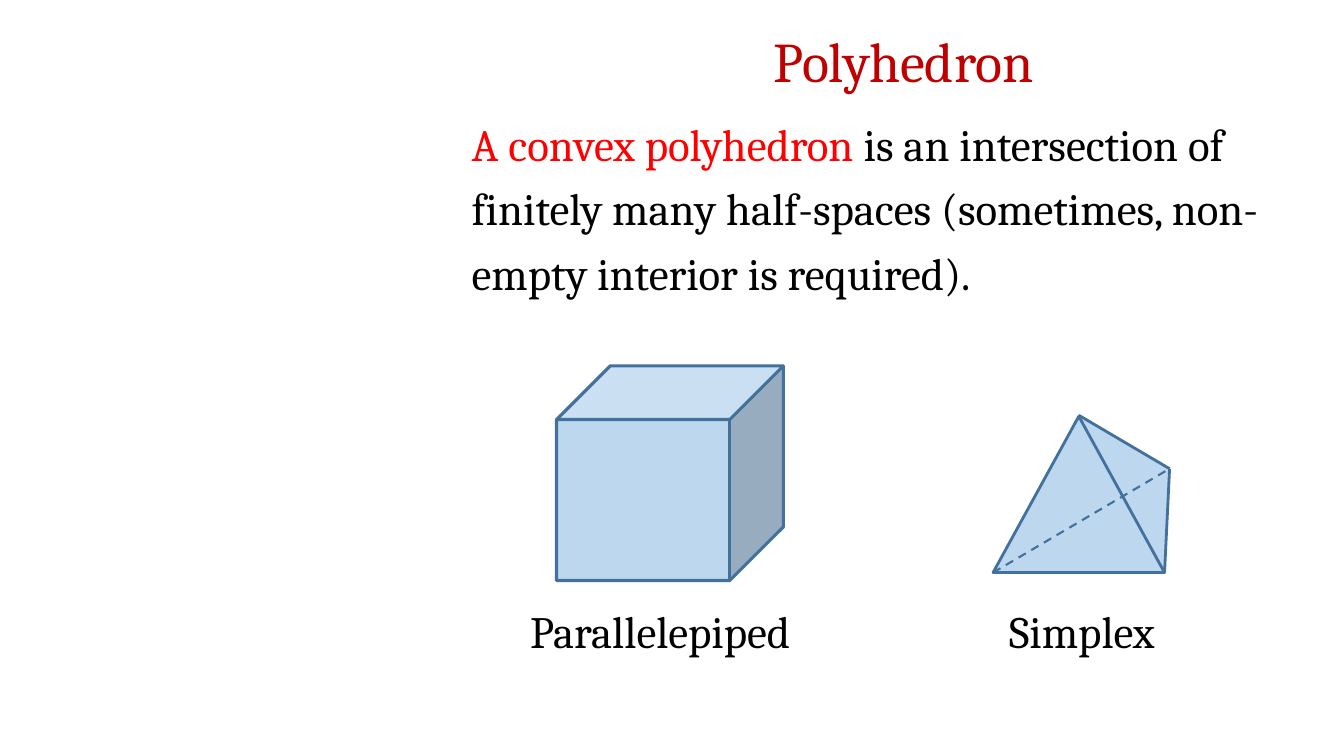
import pptx
import pptx.dml.color
import pptx.enum.dml
import pptx.enum.shapes
import pptx.enum.text
import pptx.oxml.ns
import pptx.util
from lxml import etree

PX = 9144
FONT = "Cambria"
BLACK, DARK_RED, RED = "000000", "C00000", "FF0000"
FACE, EDGE = "BDD7EE", "41719C"
SHAPE = pptx.enum.shapes.MSO_SHAPE


def px(*lengths):
    """Turn px lengths into EMU."""
    return [pptx.util.Emu(n * PX) for n in lengths]


def set_color(fmt, color):
    """Give a fill or font a solid colour."""
    if hasattr(fmt, "solid"):
        fmt.solid()
        fmt.fore_color.rgb = pptx.dml.color.RGBColor.from_string(color)
    else:
        fmt.color.rgb = pptx.dml.color.RGBColor.from_string(color)


def style_run(r, size, color):
    """Set the font of a run."""
    r.font.name = FONT
    r.font.size = pptx.util.Pt(size)
    set_color(r.font, color)


def add_title(slide, box):
    """Place and format the title."""
    sp = slide.shapes.title
    sp.left, sp.top, sp.width, sp.height = px(*box)
    tf = sp.text_frame
    tf.text = "Polyhedron"
    tf.auto_size = pptx.enum.text.MSO_AUTO_SIZE.NONE
    tf.vertical_anchor = pptx.enum.text.MSO_ANCHOR.MIDDLE
    tf.paragraphs[0].alignment = pptx.enum.text.PP_ALIGN.CENTER
    style_run(tf.paragraphs[0].runs[0], 40, DARK_RED)


def add_text(slide, box, parts, spacing=1.0):
    """Add one paragraph made of (text, colour) parts."""
    tf = slide.shapes.add_textbox(*px(*box)).text_frame
    tf.word_wrap = True
    p = tf.paragraphs[0]
    p.line_spacing = spacing
    for text, color in parts:
        r = p.add_run()
        r.text = text
        style_run(r, 32, color)


def add_solid(slide, kind, box, line=EDGE, width=2.25, rotation=0):
    """Add a filled preset shape."""
    sp = slide.shapes.add_shape(kind, *px(*box))
    sp.shadow.inherit = False
    sp.rotation = rotation
    set_color(sp.fill, FACE)
    set_color(sp.line.fill, line)
    sp.line.width = pptx.util.Pt(width)


def add_edge(slide, start, end, width=2, dashed=False):
    """Add a straight edge between two points."""
    kind = pptx.enum.shapes.MSO_CONNECTOR.STRAIGHT
    sp = slide.shapes.add_connector(kind, *px(*start, *end))
    set_color(sp.line.fill, EDGE)
    sp.line.width = pptx.util.Pt(width)
    if dashed:
        sp.line.dash_style = pptx.enum.dml.MSO_LINE.DASH
    etree.SubElement(sp._element.spPr, pptx.oxml.ns.qn("a:effectLst"))


def add_parallelepiped(slide, x, y):
    """Draw the cube with its label."""
    add_solid(slide, SHAPE.CUBE, (x + 36, y, 225, 213))
    add_text(slide, (x, y + 231, 296, 64), [("Parallelepiped", BLACK)])


def add_simplex(slide, x, y):
    """Draw the tetrahedron with its label."""
    apex, back = (x + 85, y), (x + 175, y + 53)
    left, right = (x, y + 156), (x + 170, y + 156)
    add_solid(slide, SHAPE.ISOSCELES_TRIANGLE, (x + 67, y + 41, 169, 51),
              line=FACE, rotation=62)
    add_edge(slide, apex, back)
    add_solid(slide, SHAPE.ISOSCELES_TRIANGLE, (x, y + 1, 170, 155), width=2)
    add_edge(slide, back, right)
    add_edge(slide, left, back, width=1.5, dashed=True)
    add_text(slide, (x + 6, y + 182, 173, 64), [("Simplex", BLACK)])


def main():
    """Build the slide."""
    prs = pptx.Presentation()
    prs.slide_width, prs.slide_height = px(1333, 750)
    slide = prs.slides.add_slide(prs.slide_layouts.get_by_name("Title Only"))
    add_title(slide, (459, 21, 874, 77))
    add_text(slide, (458, 100, 875, 312), [
        ("A convex polyhedron ", RED),
        ("is an intersection of finitely many half-spaces "
         "(sometimes, non-empty interior is required).", BLACK),
    ], spacing=1.2)
    add_parallelepiped(slide, 516, 363)
    add_simplex(slide, 985, 412)
    prs.save("out.pptx")


if __name__ == "__main__":
    main()
